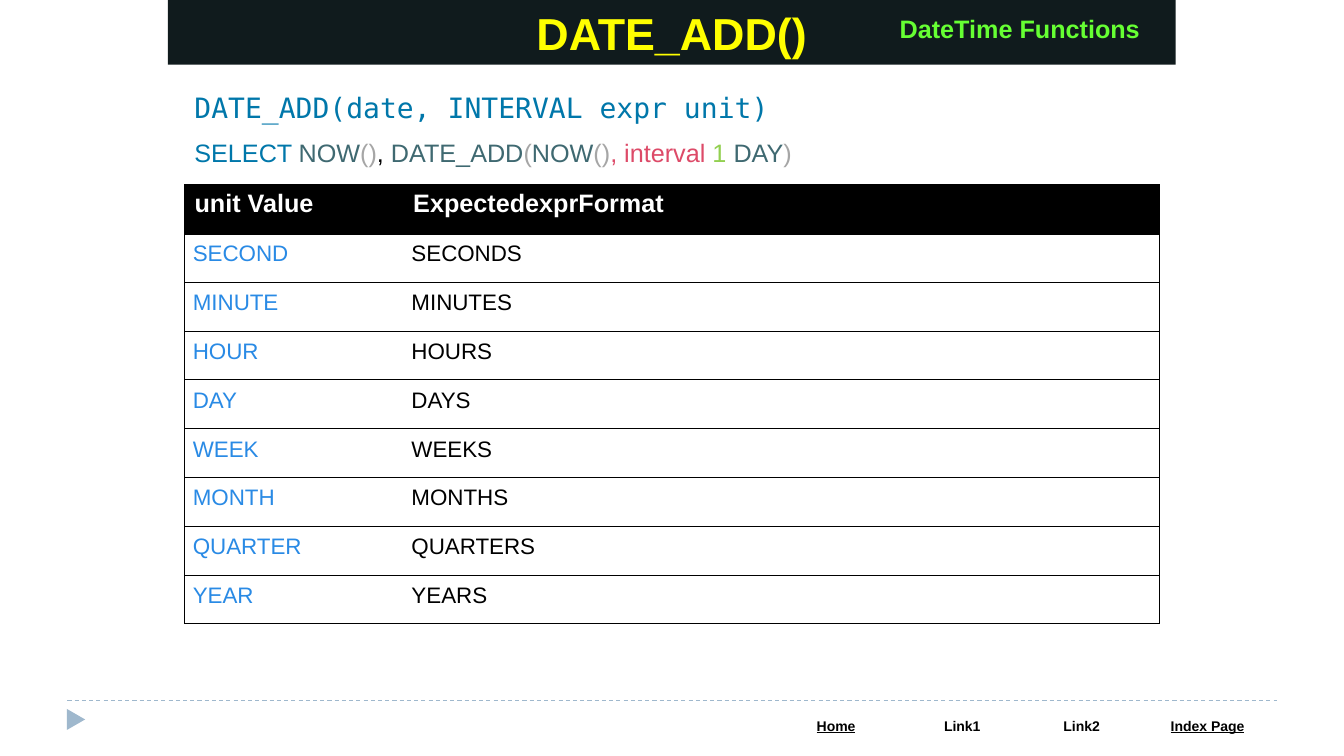
from lxml import etree
from pptx import Presentation
from pptx.dml.color import RGBColor
from pptx.enum.dml import MSO_LINE
from pptx.enum.shapes import MSO_CONNECTOR, MSO_SHAPE
from pptx.enum.text import MSO_ANCHOR, PP_ALIGN
from pptx.oxml.ns import qn
from pptx.util import Cm, Pt

STRAIGHT = MSO_CONNECTOR.STRAIGHT
DASH = MSO_LINE.DASH
RECTANGLE, TRIANGLE = MSO_SHAPE.RECTANGLE, MSO_SHAPE.ISOSCELES_TRIANGLE
MIDDLE = MSO_ANCHOR.MIDDLE
LEFT, CENTER, RIGHT = PP_ALIGN.LEFT, PP_ALIGN.CENTER, PP_ALIGN.RIGHT

BLACK = RGBColor(0x00, 0x00, 0x00)
WHITE = RGBColor(0xFF, 0xFF, 0xFF)
BAR = RGBColor(0x10, 0x1B, 0x1D)
STEEL = RGBColor(0x9F, 0xB8, 0xCD)
YELLOW = RGBColor(0xFF, 0xFF, 0x00)
LIME = RGBColor(0x66, 0xFF, 0x33)
KEYWORD = RGBColor(0x00, 0x77, 0xAA)
FUNCTION = RGBColor(0x3F, 0x69, 0x71)
BRACKET = RGBColor(0xA6, 0xA6, 0xA6)
OPERATOR = RGBColor(0xDD, 0x4A, 0x68)
NUMBER = RGBColor(0x92, 0xD0, 0x50)
UNIT = RGBColor(0x29, 0x8A, 0xE5)


def write(frame, spans, align=LEFT, **shared):
    para = frame.paragraphs[0]
    para.alignment = align
    for text, color, *size in spans:
        span = para.add_run()
        span.text = text
        formats = {"name": "Arial", **shared}
        if size:
            formats["size"] = Pt(size[0])
        for name, value in formats.items():
            setattr(span.font, name, value)
        span.font.color.rgb = color


def border(cell, side, points):
    line = etree.SubElement(cell._tc.get_or_add_tcPr(), qn(f"a:ln{side}"), w=str(Pt(points)))
    if points:
        fill = etree.SubElement(line, qn("a:solidFill"))
        etree.SubElement(fill, qn("a:srgbClr"), val=str(BLACK))
    else:
        etree.SubElement(line, qn("a:noFill"))


deck = Presentation()
deck.slide_width, deck.slide_height = Cm(33.87), Cm(19.05)
page = deck.slides.add_slide(deck.slide_layouts[6])
shapes = page.shapes

marker = shapes.add_shape(TRIANGLE, Cm(1.65), Cm(17.9), Cm(0.53), Cm(0.46))
marker.rotation = 90
title_bar = shapes.add_shape(RECTANGLE, Cm(4.23), Cm(0), Cm(25.4), Cm(1.63))
for shape, color in ((marker, STEEL), (title_bar, BAR)):
    shape.shadow.inherit = False
    shape.fill.solid()
    shape.fill.fore_color.rgb = color
    shape.line.fill.background()
title_bar.text_frame.vertical_anchor = MIDDLE
write(title_bar.text_frame, [("DATE_ADD()", YELLOW)], CENTER, size=Pt(32), bold=True)

footer_rule = shapes.add_connector(STRAIGHT, Cm(1.7), Cm(17.65), Cm(32.18), Cm(17.65))
footer_rule.line.color.rgb = STEEL
footer_rule.line.width = Pt(0.75)
footer_rule.line.dash_style = DASH
etree.SubElement(footer_rule._element.spPr, qn("a:effectLst"))

links = [("Home", 3.18, True), ("Link1", 3.18, False), ("Link2", 2.84, False), ("Index Page", 3.5, True)]
link_table = shapes.add_table(1, len(links), Cm(19.48), Cm(17.98), Cm(12.7), Cm(0.69)).table
link_table.first_row = link_table.horz_banding = False
for column, (label, width, underline) in enumerate(links):
    link_table.columns[column].width = Cm(width)
    cell = link_table.cell(0, column)
    cell.margin_left = cell.margin_right = Cm(0.33)
    cell.fill.solid()
    cell.fill.fore_color.rgb = WHITE
    write(cell.text_frame, [(label, BLACK)], CENTER, size=Pt(10), bold=True, underline=underline)

query = [
    ("SELECT", KEYWORD), (" ", BLACK, 16), ("NOW", FUNCTION), ("()", BRACKET), (", ", BLACK),
    ("DATE_ADD", FUNCTION), ("(", BRACKET), ("NOW", FUNCTION), ("()", BRACKET),
    (", interval ", OPERATOR), ("1 ", NUMBER), ("DAY", FUNCTION), (")", BRACKET),
]
syntax = [("DATE_ADD(date, INTERVAL expr unit)", KEYWORD)]
topic = [("DateTime Functions", LIME)]
texts = [
    (syntax, (4.65, 2.16, 24.56, 1.12), LEFT, True, {"name": "DejaVu Sans Mono", "size": Pt(20)}),
    (topic, (22.35, 0.2, 6.63, 1.02), RIGHT, False, {"size": Pt(18), "bold": True}),
    (query, (4.65, 3.33, 24.56, 1.02), LEFT, True, {"size": Pt(18)}),
]
for spans, place, align, wrap, formats in texts:
    box = shapes.add_textbox(*map(Cm, place))
    box.text_frame.word_wrap = wrap
    write(box.text_frame, spans, align, **formats)

units = ["SECOND", "MINUTE", "HOUR", "DAY", "WEEK", "MONTH", "QUARTER", "YEAR"]
rows = [("unit Value", "ExpectedexprFormat")] + [(unit, unit + "S") for unit in units]
unit_table = shapes.add_table(len(rows), 2, Cm(4.65), Cm(4.65), Cm(24.56), Cm(11.07)).table
unit_table.first_row = unit_table.horz_banding = False
unit_table.columns[0].width, unit_table.columns[1].width = Cm(5.51), Cm(19.05)
for row, texts_in_row in enumerate(rows):
    for column, text in enumerate(texts_in_row):
        cell = unit_table.cell(row, column)
        header = row == 0
        edges = {
            "L": 0 if column else 0.75,
            "R": 0.75 if column else 0,
            "T": 3 if row == 1 else 0.75,
            "B": 3 if header else 0.75,
        }
        for side, points in edges.items():
            border(cell, side, points)
        cell.fill.solid()
        cell.fill.fore_color.rgb = BLACK if header else WHITE
        if header:
            write(cell.text_frame, [(text, WHITE)], size=Pt(18), bold=True)
        else:
            for side in ("left", "top", "right", "bottom"):
                setattr(cell, f"margin_{side}", Cm(0.21))
            write(cell.text_frame, [(text, BLACK if column else UNIT)], size=Pt(16), bold=False)

deck.save("out.pptx")
